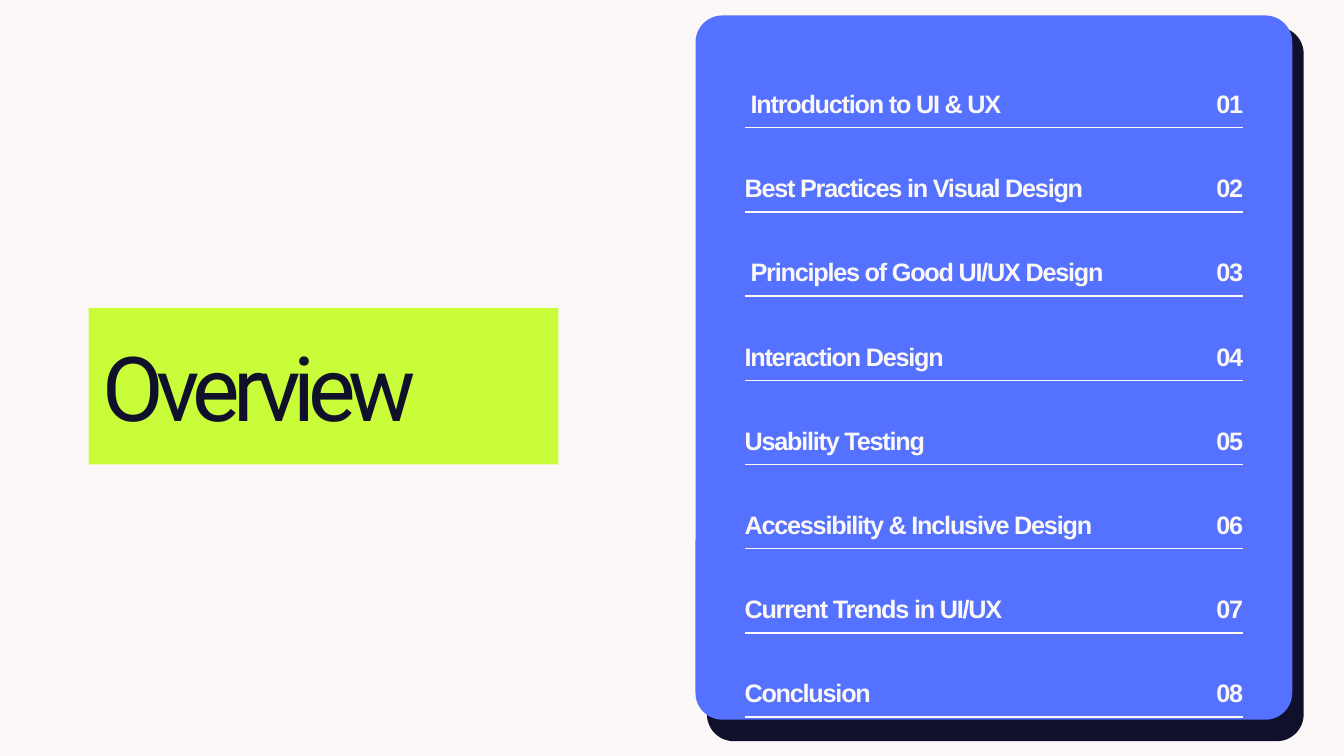
import pptx
import pptx.dml.color
import pptx.enum.shapes
import pptx.enum.text
import pptx.oxml
import pptx.oxml.ns
import pptx.util
from dataclasses import dataclass

TITLE = "Overview"
# (topic, left indent in px)
TOPICS = [
    ("Introduction to UI & UX", 9),
    ("Best Practices in Visual Design", 0),
    ("Principles of Good UI/UX Design", 9),
    ("Interaction Design", 0),
    ("Usability Testing", 0),
    ("Accessibility & Inclusive Design", 0),
    ("Current Trends in UI/UX", 0),
    ("Conclusion", 0),
]


@dataclass(frozen=True)
class Theme:
    paper: str = "FCF8F8"
    ink: str = "10102A"
    panel: str = "5472FF"
    accent: str = "C9FD39"
    title_font: str = "Roboto"
    title_size: int = 96
    title_leading: float = 98.9
    title_tracking: float = -7.5
    list_font: str = "Arial"
    list_size: int = 27
    list_leading: float = 37.8
    list_tracking: float = -1.3
    rule_width: float = 1.5


THEME = Theme()
PX = 9144  # EMU; 100 px to the inch
SLIDE = (2000, 1125)
PILL = (132, 458, 699, 233)
PILL_INSETS = (20, 30, 20, 10)
PILL_ROUNDING = 0.398
PANELS = [((1052, 40, 888, 1063), THEME.ink), ((1035, 23, 888, 1048), THEME.panel)]
PANEL_RADIUS = 40
LIST_LEFT, LIST_RIGHT = 1108, 1850
FIRST_RULE, LAST_RULE = 190, 1067
TEXT_ABOVE_RULE, TEXT_HEIGHT = 66, 50
TOPIC_WIDTH, NUMBER_WIDTH = 606, 130
DRAWING_NAMESPACE = pptx.oxml.ns.nsdecls("a")


def px(length):
    return pptx.util.Emu(round(length * PX))


def color(code):
    return pptx.dml.color.RGBColor.from_string(code)


def paint(item, code):
    item.fill.solid()
    item.fill.fore_color.rgb = color(code)


def set_insets(frame, insets):
    frame.margin_left, frame.margin_top, frame.margin_right, frame.margin_bottom = map(px, insets)


def write(paragraph, text, font, size, leading, tracking, code, bold=False):
    span = paragraph.add_run()
    span.text = text
    span._r.get_or_add_rPr().set("spc", str(round(tracking * 100)))
    paragraph.line_spacing = pptx.util.Pt(leading)
    paragraph.font.name = font
    paragraph.font.size = pptx.util.Pt(size)
    paragraph.font.bold = bold
    paragraph.font.color.rgb = color(code)


def add_panel(page, bounds, code):
    panel = page.shapes.add_shape(
        pptx.enum.shapes.MSO_SHAPE.ROUNDED_RECTANGLE, *map(px, bounds))
    panel.adjustments[0] = PANEL_RADIUS / min(bounds[2:])
    panel.shadow.inherit = False
    panel.line.fill.background()
    paint(panel, code)


def add_rule(page, y):
    rule = page.shapes.add_connector(
        pptx.enum.shapes.MSO_CONNECTOR.STRAIGHT, px(LIST_LEFT), px(y), px(LIST_RIGHT), px(y))
    rule.line.color.rgb = color(THEME.paper)
    rule.line.width = pptx.util.Pt(THEME.rule_width)
    rule._element.spPr.append(pptx.oxml.parse_xml(f"<a:effectLst {DRAWING_NAMESPACE}/>"))


def add_label(page, text, left, top, width, align, indent=0):
    box = page.shapes.add_textbox(px(left), px(top), px(width), px(TEXT_HEIGHT))
    box.text_frame.word_wrap = True
    set_insets(box.text_frame, (0, 0, 0, 0))
    paragraph = box.text_frame.paragraphs[0]
    paragraph.alignment = align
    if indent:
        paragraph._p.get_or_add_pPr().set("marL", str(px(indent)))
    write(paragraph, text, THEME.list_font, THEME.list_size, THEME.list_leading,
          THEME.list_tracking, THEME.paper, bold=True)


def add_title(page):
    """Turn the title placeholder into the rounded pill."""
    title = page.shapes.title
    title.left, title.top, title.width, title.height = map(px, PILL)
    title._element.spPr.append(pptx.oxml.parse_xml(
        f'<a:prstGeom {DRAWING_NAMESPACE} prst="roundRect"><a:avLst>'
        f'<a:gd name="adj" fmla="val {round(PILL_ROUNDING * 100000)}"/>'
        '</a:avLst></a:prstGeom>'))
    paint(title, THEME.accent)
    frame = title.text_frame
    frame.word_wrap = True
    frame.auto_size = pptx.enum.text.MSO_AUTO_SIZE.NONE
    frame.vertical_anchor = pptx.enum.text.MSO_ANCHOR.MIDDLE
    set_insets(frame, PILL_INSETS)
    frame.paragraphs[0].alignment = pptx.enum.text.PP_ALIGN.LEFT
    write(frame.paragraphs[0], TITLE, THEME.title_font, THEME.title_size,
          THEME.title_leading, THEME.title_tracking, THEME.ink)


def main():
    deck = pptx.Presentation()
    deck.slide_width, deck.slide_height = map(px, SLIDE)
    page = deck.slides.add_slide(deck.slide_layouts.get_by_name("Title Only"))
    paint(page.background, THEME.paper)
    add_title(page)
    for bounds, code in PANELS:
        add_panel(page, bounds, code)

    pitch = (LAST_RULE - FIRST_RULE) / (len(TOPICS) - 1)
    align = pptx.enum.text.PP_ALIGN
    for index, (topic, indent) in enumerate(TOPICS):
        rule_y = FIRST_RULE + index * pitch
        top = rule_y - TEXT_ABOVE_RULE
        add_rule(page, rule_y)
        add_label(page, topic, LIST_LEFT, top, TOPIC_WIDTH, align.LEFT, indent)
        add_label(page, f"{index + 1:02}", LIST_RIGHT - NUMBER_WIDTH, top, NUMBER_WIDTH, align.RIGHT)
    deck.save("out.pptx")


if __name__ == "__main__":
    main()
